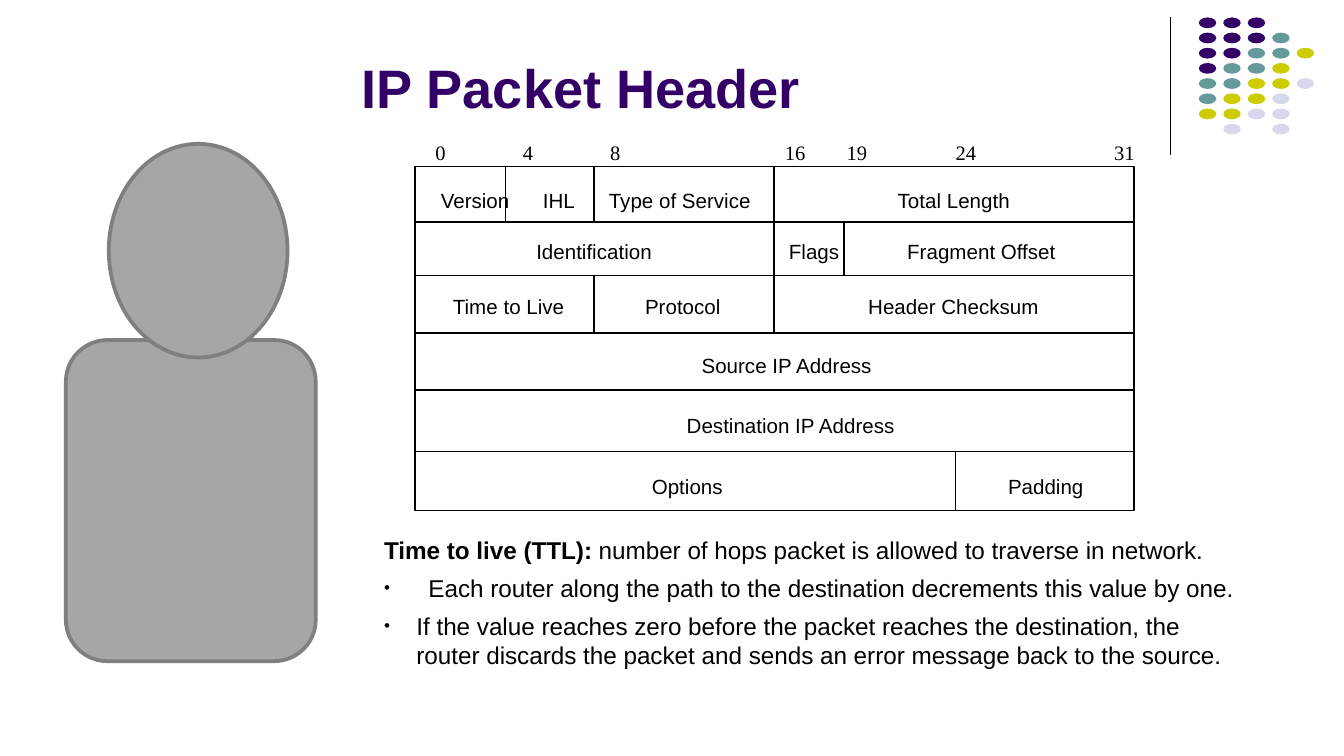
from lxml import etree
from pptx import Presentation
from pptx import util as u
from pptx.dml.color import RGBColor
from pptx.enum import shapes as sh, text as tx
from pptx.oxml.ns import qn

PX = 9144
WIDE = 1000
SIZE = (WIDE, WIDE * 9 / 16)
HUES = {"ink": "000000", "P": "330066", "T": "669999", "Y": "CCCC00",
        "L": "D8D8EC", "body": "A6A6A6", "edge": "7F7F7F"}

TITLE = "IP Packet Header"
DOTS = ["PPP", "PPPT", "PPTTY", "PTTY", "TTYYL", "TYYL", "YYLL", " L L"]
BITS = (104, [(324, "0"), (389, "4"), (454, "8"), (584, "16"),
              (630, "19"), (711, "24"), (829, "31")])
FIELDS = [
    (140, [(328, "Version"), (404, "IHL"), (453, "Type of Service"),
           (668, "Total Length")]),
    (178, [(399, "Identification"), (587, "Flags"), (675, "Fragment Offset")]),
    (219, [(337, "Time to Live"), (480, "Protocol"), (646, "Header Checksum")]),
    (263, [(522, "Source IP Address")]),
    (307, [(511, "Destination IP Address")]),
    (353, [(485, "Options"), (750, "Padding")]),
]
LEFT, RIGHT = 309, 844
EDGES = [124, 165, 205, 248, 290, 336, 380]
SPLITS = [(576, 0, 3), (442, 2, 3), (442, 0, 1), (376, 0, 1),
          (628, 1, 2), (711, 5, 6)]
NOTES = [
    (0, [("Time to live (TTL):", True),
         (" number of hops packet is allowed to traverse in network.", False)]),
    (33, [("Each router along the path to the destination decrements "
           "this value by one.", False)]),
    (24, [("If the value reaches zero before the packet reaches the "
           "destination, the router discards the packet and sends an error "
           "message back to the source.", False)]),
]
FLAT = {"margin_left": 0, "margin_right": 0, "margin_top": 0,
        "margin_bottom": 0, "word_wrap": True}


def put(obj, vals):
    for key, val in vals.items():
        setattr(obj, key, val)


def hue(name):
    return RGBColor.from_string(HUES[name])


def emu(*vals):
    return [round(v * PX) for v in vals]


def write(para, words, size, face="Arial", bold=False, tint="ink"):
    run = para.add_run()
    run.text = words
    put(run.font, {"size": u.Pt(size), "name": face, "bold": bold})
    run.font.color.rgb = hue(tint)


def form(slide, kind, box, fill=None, edge=None, width=1):
    item = slide.shapes.add_shape(kind, *emu(*box))
    item.shadow.inherit = False
    if fill:
        item.fill.solid()
        item.fill.fore_color.rgb = hue(fill)
    else:
        item.fill.background()
    if edge:
        item.line.color.rgb = hue(edge)
        item.line.width = u.Pt(width)
    else:
        item.line.fill.background()


def rule(slide, ends, width=0.88):
    line = slide.shapes.add_connector(sh.MSO_CONNECTOR.STRAIGHT, *emu(*ends))
    line.line.color.rgb = hue("ink")
    line.line.width = u.Pt(width)
    etree.SubElement(line._element.spPr, qn("a:effectLst"))


def row(slide, top, cells, face="Arial"):
    left = cells[0][0]
    box = slide.shapes.add_textbox(*emu(left, top, RIGHT + 10 - left, 18))
    put(box.text_frame, FLAT)
    para = box.text_frame.paragraphs[0]
    tabs = etree.SubElement(para._p.get_or_add_pPr(), qn("a:tabLst"))
    for x, _ in cells[1:]:
        etree.SubElement(tabs, qn("a:tab"), pos=str((x - left) * PX), algn="l")
    write(para, "\t".join(word for _, word in cells), 11, face)


def bullet(para, indent):
    para.space_before = u.Pt(4.9)
    props = para._p.get_or_add_pPr()
    props.set("marL", str(indent * PX))
    props.set("indent", str(-indent * PX))
    etree.SubElement(props, qn("a:buSzPct"), val="70000")
    etree.SubElement(props, qn("a:buFont"), typeface="Arial")
    etree.SubElement(props, qn("a:buChar"), char="•")


def main():
    deck = Presentation()
    deck.slide_width, deck.slide_height = emu(*SIZE)
    slide = deck.slides.add_slide(deck.slide_layouts[5])

    head = slide.shapes.title
    put(head, dict(zip(("left", "top", "width", "height"),
                       emu(259, 10, 616, 84))))
    put(head.text_frame, {"vertical_anchor": tx.MSO_ANCHOR.BOTTOM,
                          "auto_size": tx.MSO_AUTO_SIZE.NONE})
    para = head.text_frame.paragraphs[0]
    para.alignment = tx.PP_ALIGN.LEFT
    write(para, TITLE, 29, bold=True, tint="P")

    oval = sh.MSO_SHAPE.OVAL
    rule(slide, (871, 13, 871, 115), 0.75)
    for i, dots in enumerate(DOTS):
        for j, dot in enumerate(dots):
            if dot != " ":
                form(slide, oval, (892 + 18.2 * j, 13 + 11.3 * i, 13, 8), dot)

    form(slide, sh.MSO_SHAPE.RECTANGLE,
         (LEFT, EDGES[0], RIGHT - LEFT, EDGES[-1] - EDGES[0]),
         edge="ink", width=0.88)
    for y in EDGES[1:-1]:
        rule(slide, (LEFT, y, RIGHT, y))
    for x, top, end in SPLITS:
        rule(slide, (x, EDGES[top], x, EDGES[end]))
    row(slide, *BITS, "Times New Roman")
    for top, cells in FIELDS:
        row(slide, top, cells)

    notes = slide.shapes.add_textbox(*emu(276, 393, 656, 111)).text_frame
    notes.word_wrap = True
    for i, (indent, runs) in enumerate(NOTES):
        para = notes.add_paragraph() if i else notes.paragraphs[0]
        if indent:
            bullet(para, indent)
        for words, bold in runs:
            write(para, words, 13, bold=bold)

    for kind, box in ((sh.MSO_SHAPE.ROUNDED_RECTANGLE, (49, 253, 186, 239)),
                      (oval, (81, 107, 133, 159))):
        form(slide, kind, box, "body", "edge", 2)
    deck.save("out.pptx")


if __name__ == "__main__":
    main()
